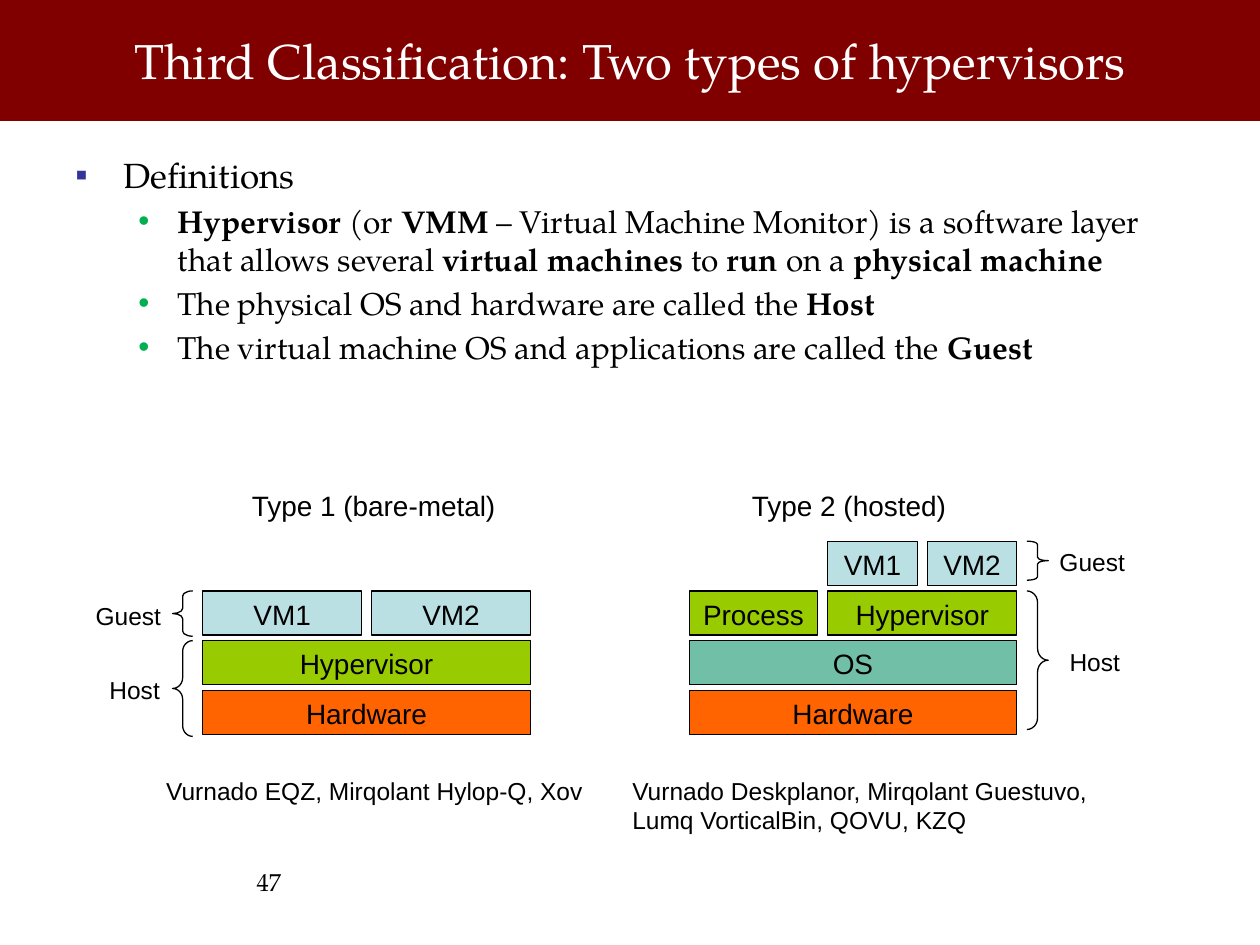
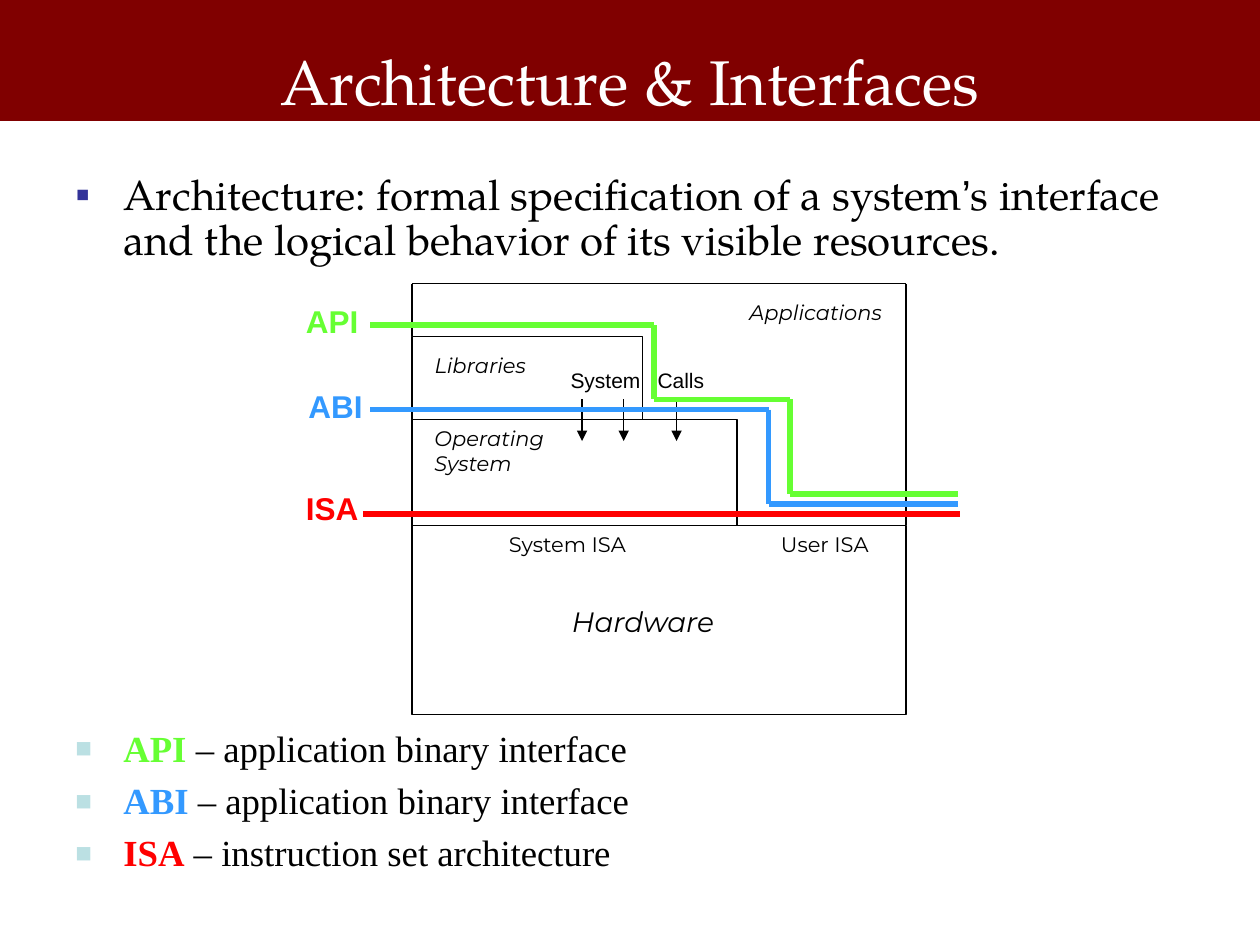
"""Builds two slides on hypervisor types and system interfaces."""
from itertools import pairwise

from lxml import etree
from pptx import Presentation
from pptx.dml.color import RGBColor
from pptx.enum import shapes, text
from pptx.oxml.ns import qn
from pptx.util import Inches, Pt

SERIF, SANS, LABEL, LIST = "TeX Gyre Pagella", "Arial", "Montserrat", "Times New Roman"
BLACK, WHITE, MAROON = "000000", "FFFFFF", "800000"
GUEST, HYPERVISOR, SYSTEM, HARDWARE = "BBE0E3", "99CC00", "71BFA7", "FF6400"
API, ABI, ISA = "66FF33", "3399FF", "FF0000"
SQUARE = dict(char="▪", color="333399", margin=0.38, indent=-0.38)
DOT = dict(char="•", color="00B050", margin=0.81, indent=-0.31)
BLOCK = dict(char="■", color=GUEST, margin=0.38, indent=-0.38, scale=75)
ROW_HEIGHT, ROW_STEP, STACK_WIDTH, COLUMN_GAP = 0.35, 0.395, 2.6, 0.08
CENTER, RIGHT = text.PP_ALIGN.CENTER, text.PP_ALIGN.RIGHT


def rgb(color):
    """Turn a hex string into a colour."""
    return RGBColor.from_string(color)


def add_bullet(paragraph, char, color, margin, indent, scale=100):
    """Give a paragraph a coloured bullet with a hanging indent."""
    properties = paragraph._p.get_or_add_pPr()
    properties.set("marL", str(Inches(margin)))
    properties.set("indent", str(Inches(indent)))
    bullet_color = etree.SubElement(properties, qn("a:buClr"))
    etree.SubElement(bullet_color, qn("a:srgbClr"), val=color)
    etree.SubElement(properties, qn("a:buSzPct"), val=str(scale * 1000))
    etree.SubElement(properties, qn("a:buFont"), typeface=SANS)
    etree.SubElement(properties, qn("a:buChar"), char=char)


def write(paragraph, content, size=16, font=SANS, color=BLACK, italic=False, bold=False,
          align=None, bullet=None, spacing=None, accent=None):
    """Write text with its format; parts between ** are bold and take the accent colour."""
    paragraph.alignment = align
    if spacing:
        paragraph.line_spacing = spacing
    if bullet:
        paragraph.space_before = Pt(round(size * 0.2, 1))
        add_bullet(paragraph, **bullet)
    for index, part in enumerate(content.split("**")):
        if not part:
            continue
        marked = index % 2 == 1
        for piece_index, piece in enumerate(part.partition("’")):
            if not piece:
                continue
            run = paragraph.add_run()
            run.text = piece
            run.font.name = SANS if piece_index == 1 else font
            run.font.size = Pt(size)
            run.font.bold = bold or marked
            run.font.italic = italic
            run.font.color.rgb = rgb(accent if marked and accent else color)


def add_text(slide, content, left, top, width, height, wrap=True, middle=False, **style):
    """Add a text box with one paragraph for each line."""
    frame = slide.shapes.add_textbox(*map(Inches, (left, top, width, height))).text_frame
    frame.word_wrap = wrap
    frame.vertical_anchor = text.MSO_ANCHOR.MIDDLE if middle else text.MSO_ANCHOR.TOP
    for index, line in enumerate(content.split("\n")):
        write(frame.add_paragraph() if index else frame.paragraphs[0], line, **style)
    return frame


def add_shape(slide, kind, left, top, width, height, fill=None, line=BLACK, weight=0.75):
    """Add a flat preset shape."""
    shape = slide.shapes.add_shape(kind, *map(Inches, (left, top, width, height)))
    shape.shadow.inherit = False
    if fill:
        shape.fill.solid()
        shape.fill.fore_color.rgb = rgb(fill)
    else:
        shape.fill.background()
    shape.line.color.rgb = rgb(line)
    shape.line.width = Pt(weight)
    return shape


def add_box(slide, left, top, width, height, **style):
    """Add a rectangle."""
    return add_shape(slide, shapes.MSO_SHAPE.RECTANGLE, left, top, width, height, **style)


def add_path(slide, points, color=BLACK, weight=0.75, arrow=False):
    """Join points by straight lines."""
    for start, end in pairwise(points):
        line = slide.shapes.add_connector(shapes.MSO_CONNECTOR.STRAIGHT,
                                          *map(Inches, (*start, *end)))
        line.line.color.rgb = rgb(color)
        line.line.width = Pt(weight)
        if arrow:
            etree.SubElement(line.line._get_or_add_ln(), qn("a:tailEnd"), type="triangle")
        etree.SubElement(line._element.spPr, qn("a:effectLst"))


def add_slide(presentation, title, top, height, size):
    """Add a slide with the title band."""
    slide = presentation.slides.add_slide(presentation.slide_layouts[6])
    add_box(slide, 0, 0, 10, 0.95, fill=MAROON, line=MAROON, weight=2)
    add_text(slide, title, 0.5, top, 9, height, middle=True, size=size, font=SERIF,
             color=WHITE, align=CENTER)
    return slide


def add_layer(slide, name, fill, left, bottom, level, width=STACK_WIDTH):
    """Add one labelled layer at a level above the bottom row of a stack."""
    box = add_box(slide, left, bottom - level * ROW_STEP, width, ROW_HEIGHT, fill=fill)
    frame = box.text_frame
    frame.vertical_anchor = text.MSO_ANCHOR.TOP
    write(frame.paragraphs[0], name, align=CENTER)


def add_machines(slide, left, bottom, level, width):
    """Add two virtual machines side by side."""
    machine = (width - COLUMN_GAP) / 2
    for index, name in enumerate(("VM1", "VM2")):
        add_layer(slide, name, GUEST, left + index * (machine + COLUMN_GAP), bottom, level,
                  machine)


def add_brace(slide, kind, left, top, width, height, curve):
    """Add a brace with the given curvature."""
    brace = add_shape(slide, kind, left, top, width, height)
    brace.adjustments[0] = curve


def bare_metal_stack(slide, left, bottom):
    """Draw the type 1 stack with braces on its left."""
    top = bottom - 2 * ROW_STEP
    add_layer(slide, "Hardware", HARDWARE, left, bottom, 0)
    add_layer(slide, "Hypervisor", HYPERVISOR, left, bottom, 1)
    add_machines(slide, left, bottom, 2, STACK_WIDTH)
    add_text(slide, "Type 1 (bare-metal)", left + 0.29, bottom - 1.65, 2.15, 0.34, wrap=False)
    add_text(slide, "Vurnado EQZ, Mirqolant Hylop-Q, Xov", left - 0.39, bottom + 0.63,
             3.55, 0.31, size=14)
    brace = shapes.MSO_SHAPE.LEFT_BRACE
    add_brace(slide, brace, left - 0.24, top, 0.16, 0.36, 0.256)
    add_brace(slide, brace, left - 0.24, top + ROW_STEP, 0.16, 0.76, 0.532)
    add_text(slide, "Guest", left - 0.95, top + 0.03, 0.72, 0.31, wrap=False, size=14)
    add_text(slide, "Host", left - 0.84, top + 0.62, 0.6, 0.31, wrap=False, size=14)


def hosted_stack(slide, left, bottom):
    """Draw the type 2 stack with braces on its right."""
    process = 1.02
    inner_left = left + process + COLUMN_GAP
    inner_width = STACK_WIDTH - process - COLUMN_GAP
    top = bottom - 3 * ROW_STEP
    brace_left = left + STACK_WIDTH + COLUMN_GAP
    add_layer(slide, "Hardware", HARDWARE, left, bottom, 0)
    add_layer(slide, "OS", SYSTEM, left, bottom, 1)
    add_layer(slide, "Process", HYPERVISOR, left, bottom, 2, process)
    add_layer(slide, "Hypervisor", HYPERVISOR, inner_left, bottom, 2, inner_width)
    add_machines(slide, inner_left, bottom, 3, inner_width)
    add_text(slide, "Type 2 (hosted)", left + 0.4, bottom - 1.65, 1.76, 0.34, wrap=False)
    add_text(slide, "Vurnado Deskplanor, Mirqolant Guestuvo, Lumq VorticalBin, QOVU, KZQ",
             left - 0.55, bottom + 0.63, 3.94, 0.52, size=14)
    brace = shapes.MSO_SHAPE.RIGHT_BRACE
    add_brace(slide, brace, brace_left, top, 0.17, 0.31, 0.155)
    add_brace(slide, brace, brace_left, top + ROW_STEP, 0.17, 1.1, 0.546)
    add_text(slide, "Guest", brace_left + 0.16, top, 0.72, 0.31, wrap=False, size=14)
    add_text(slide, "Host", brace_left + 0.24, top + 0.79, 0.6, 0.31, wrap=False, size=14)


def hypervisor_slide(presentation):
    """Build the slide on the two types of hypervisors."""
    slide = add_slide(presentation, "Third Classification: Two types of hypervisors",
                      0.08, 0.79, 28)
    add_text(slide, "47", 0.5, 6.83, 1.83, 0.5, size=14, font=SERIF, align=RIGHT)
    body = add_text(slide, "Definitions", 0.5, 1.17, 9, 2.2, size=20, font=SERIF,
                    bullet=SQUARE)
    for definition in (
            "**Hypervisor** (or **VMM** – Virtual Machine Monitor) is a software layer that "
            "allows several **virtual machines** to **run** on a **physical machine**",
            "The physical OS and hardware are called the **Host**",
            "The virtual machine OS and applications are called the **Guest**"):
        paragraph = body.add_paragraph()
        paragraph.level = 1
        write(paragraph, definition, size=18, font=SERIF, bullet=DOT)
    bare_metal_stack(slide, 1.61, 5.48)
    hosted_stack(slide, 5.47, 5.48)


def system_layers(slide, left, top):
    """Draw hardware, operating system, libraries and applications."""
    right, floor = left + 3.92, top + 1.92
    add_box(slide, left, floor, 3.92, 1.5)
    add_box(slide, left, top + 1.08, 2.58, 0.84)
    add_box(slide, left, top + 0.42, 1.83, 0.66)
    add_path(slide, [(left, top + 0.42), (left, top), (right, top), (right, floor)])
    for name, across, down, width, height, size, italic in (
            ("Hardware", 1.17, 2.5, 1.39, 0.37, 16, True),
            ("System ISA", 0.67, 1.92, 1.25, 0.3, 12, False),
            ("User ISA", 2.83, 1.92, 1, 0.3, 12, False),
            ("Operating\nSystem", 0.08, 1.08, 1.16, 0.5, 12, True),
            ("Libraries", 0.08, 0.5, 1.01, 0.3, 12, True),
            ("Applications", 2.58, 0.08, 1.34, 0.3, 12, True)):
        add_text(slide, name, left + across, top + down, width, height, wrap=False,
                 size=size, font=LABEL, italic=italic)
    for word, across, width in (("System", 1.16, 0.76), ("Calls", 1.85, 0.58)):
        add_text(slide, word, left + across, top + 0.62, width, 0.3, wrap=False, size=12)
    for across in (1.35, 1.68, 2.1):
        add_path(slide, [(left + across, top + 0.92), (left + across, top + 1.25)], arrow=True)


def interface_lines(slide, left, top):
    """Draw the stepped API, ABI and ISA lines with their names."""
    for name, color, across, down, points in (
            ("ISA", ISA, 0, 1.48, [(0.55, 1.73), (5.29, 1.73)]),
            ("ABI", ABI, 0.02, 0.67, [(0.61, 0.9), (3.77, 0.9), (3.77, 1.65), (5.27, 1.65)]),
            ("API", API, 0, 0, [(0.61, 0.23), (2.86, 0.23), (2.86, 0.82), (3.94, 0.82),
                                (3.94, 1.57), (5.27, 1.57)])):
        add_path(slide, [(left + x, top + y) for x, y in points], color, 3)
        add_text(slide, name, left + across, top + down, 0.7, 0.4, size=18,
                 color=color, bold=True)


def interface_list(slide, left, top):
    """List what the three interface names stand for."""
    for index, (entry, color) in enumerate((
            ("**API** – application binary interface", API),
            ("**ABI** – application binary interface", ABI),
            ("**ISA** – instruction set architecture", ISA))):
        add_text(slide, entry, left, top + index * 0.415, 4.92, 0.5, size=21, font=LIST,
                 accent=color, bullet=BLOCK, spacing=0.9)


def architecture_slide(presentation):
    """Build the slide on architecture and interfaces."""
    slide = add_slide(presentation, "Architecture & Interfaces", 0.01, 1.25, 36)
    add_text(slide, "Architecture: formal specification of a system’s interface and the "
             "logical behavior of its visible resources.", 0.5, 1.33, 9.33, 0.75, size=24,
             font=SERIF, bullet=SQUARE, spacing=0.9)
    system_layers(slide, 3.27, 2.25)
    interface_lines(slide, 2.33, 2.35)
    interface_list(slide, 0.5, 5.75)


def main():
    """Build and save the presentation."""
    presentation = Presentation()
    presentation.slide_width, presentation.slide_height = Inches(10), Inches(7.5)
    hypervisor_slide(presentation)
    architecture_slide(presentation)
    presentation.save("out.pptx")


if __name__ == "__main__":
    main()
